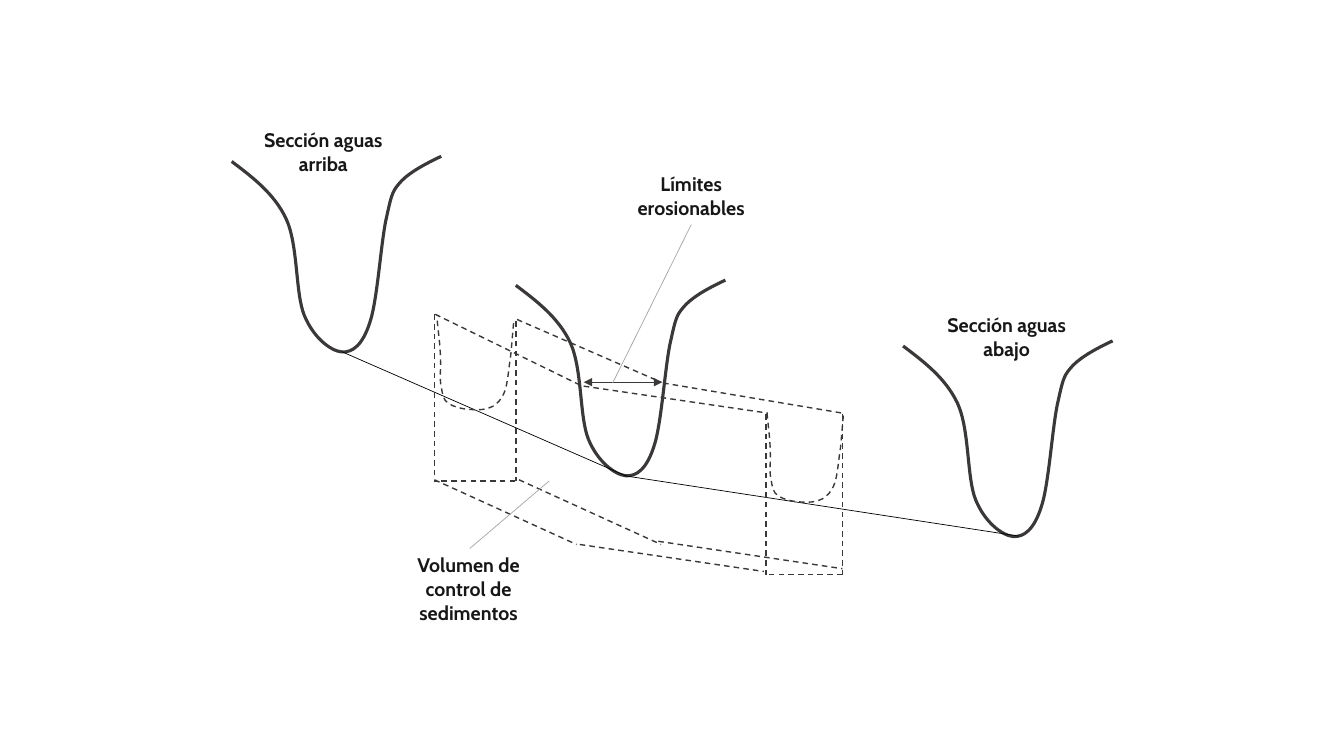
from lxml.etree import SubElement
from pptx import Presentation
from pptx.dml.color import RGBColor
from pptx.enum.dml import MSO_LINE
from pptx.enum.shapes import MSO_CONNECTOR
from pptx.enum.text import MSO_AUTO_SIZE, PP_ALIGN
from pptx.oxml.ns import qn
from pptx.util import Cm, Pt

FONT = "Cabin"
INK, TEXT, BLACK, GREY = "3B3838", "181717", "000000", "A5A5A5"
LABEL_WIDTH, LABEL_HEIGHT = 4.62, 1.45

LABELS = [
    ("Sección aguas arriba", 5.84, 3.1),
    ("Sección aguas abajo", 23.06, 7.77),
    ("Volumen de control de sedimentos", 9.5, 13.82),
    ("Límites erosionables", 15.11, 4.22),
]

CHANNEL = [
    (0, 0.13),
    (0.53, 0.53), (1.07, 0.94), (1.37, 1.57),
    (1.68, 2.24), (1.6, 3.45), (1.83, 4.01),
    (2.06, 4.57), (2.49, 4.9), (2.77, 4.93),
    (3.05, 4.95), (3.3, 4.75), (3.48, 4.19),
    (3.68, 3.61), (3.76, 2.11), (3.91, 1.5),
    (4.04, 0.91), (4.06, 0.86), (4.29, 0.61),
    (4.52, 0.38), (4.9, 0.18), (5.28, 0),
]
CHANNEL_ORIGINS = [(5.84, 3.94), (13, 7.06), (22.76, 8.59)]

VOLUME_END = [
    (0, 0),
    (0.03, 0.33), (0.08, 0.66), (0.08, 0.94),
    (0.1, 1.22), (0.05, 1.45), (0.1, 1.65),
    (0.13, 1.85), (0.15, 2.01), (0.28, 2.08),
    (0.41, 2.18), (0.69, 2.24), (0.86, 2.24),
    (1.07, 2.26), (1.24, 2.24), (1.4, 2.16),
    (1.52, 2.08), (1.63, 1.98), (1.7, 1.78),
    (1.78, 1.57), (1.8, 1.19), (1.85, 0.89),
    (1.88, 0.61), (1.9, 0.3), (1.93, 0),
]
VOLUME_END_ORIGINS = [(19.33, 10.41), (11.02, 8.08)]

EROSION_LIMITS = (16.69, 9.63, 14.71, 9.63)
RIVER_BED = [(8.61, 8.86, 15.77, 11.99), (15.75, 11.99, 25.68, 13.51)]
VOLUME_EDGES = [
    (14.71, 9.73, 19.35, 10.41),
    (16.71, 9.65, 21.23, 10.41),
    (21.23, 10.44, 21.23, 14.48),
    (19.3, 10.44, 19.3, 14.48),
    (13, 8.1, 13, 12.12),
    (10.95, 7.92, 10.95, 11.96),
    (12.98, 12.12, 10.95, 12.12),
    (21.23, 14.48, 19.3, 14.48),
    (10.97, 7.92, 14.61, 9.7),
    (13.03, 8.05, 16.66, 9.63),
    (13.08, 12.09, 16.66, 13.72),
    (10.95, 12.09, 14.53, 13.72),
    (14.61, 13.72, 19.25, 14.4),
    (16.59, 13.64, 21.23, 14.33),
]
LEADERS = [(11.84, 13.82, 13.84, 12.12), (15.44, 9.65, 17.42, 5.66)]


def color(value):
    return RGBColor.from_string(value)


def style_line(shape, value, width, dashed=False):
    shape.line.color.rgb = color(value)
    shape.line.width = Pt(width)
    if dashed:
        shape.line.dash_style = MSO_LINE.DASH


def add_line(slide, ends, value, width, dashed=False):
    connector = slide.shapes.add_connector(
        MSO_CONNECTOR.STRAIGHT, *[Cm(length) for length in ends])
    style_line(connector, value, width, dashed)
    SubElement(connector.element.spPr, qn("a:effectLst"))
    return connector


def add_curve(slide, points, origin, width, dashed=False):
    start, *others = [(Cm(origin[0] + x), Cm(origin[1] + y)) for x, y in points]
    builder = slide.shapes.build_freeform(*start)
    builder.add_line_segments(others, close=False)
    shape = builder.convert_to_shape()
    shape.shadow.inherit = False
    shape.fill.background()
    style_line(shape, INK, width, dashed)
    segments = list(shape.element.iter(qn("a:lnTo")))
    for first in range(0, len(segments), 3):
        curve = SubElement(segments[0].getparent(), qn("a:cubicBezTo"))
        for segment in segments[first:first + 3]:
            curve.append(segment[0])
    for segment in segments:
        segment.getparent().remove(segment)


def add_label(slide, text, left, top):
    box = slide.shapes.add_textbox(
        Cm(left), Cm(top), Cm(LABEL_WIDTH), Cm(LABEL_HEIGHT))
    frame = box.text_frame
    frame.word_wrap = True
    frame.auto_size = MSO_AUTO_SIZE.SHAPE_TO_FIT_TEXT
    paragraph = frame.paragraphs[0]
    paragraph.text = text
    paragraph.alignment = PP_ALIGN.CENTER
    paragraph.font.name = FONT
    paragraph.font.size = Pt(14)
    paragraph.font.bold = True
    paragraph.font.color.rgb = color(TEXT)


def main():
    presentation = Presentation()
    presentation.slide_width, presentation.slide_height = Cm(33.87), Cm(19.05)
    slide = presentation.slides.add_slide(presentation.slide_layouts[6])

    limits = add_line(slide, EROSION_LIMITS, INK, 0.5)
    for end in ("a:headEnd", "a:tailEnd"):
        SubElement(limits.line._get_or_add_ln(), qn(end), type="triangle")
    for origin in CHANNEL_ORIGINS:
        add_curve(slide, CHANNEL, origin, 2.25)
    for ends in RIVER_BED:
        add_line(slide, ends, BLACK, 0.5)
    for ends in VOLUME_EDGES:
        add_line(slide, ends, INK, 1, dashed=True)
    for origin in VOLUME_END_ORIGINS:
        add_curve(slide, VOLUME_END, origin, 1, dashed=True)
    for label in LABELS:
        add_label(slide, *label)
    for ends in LEADERS:
        add_line(slide, ends, GREY, 0.5)

    presentation.save("out.pptx")


if __name__ == "__main__":
    main()
